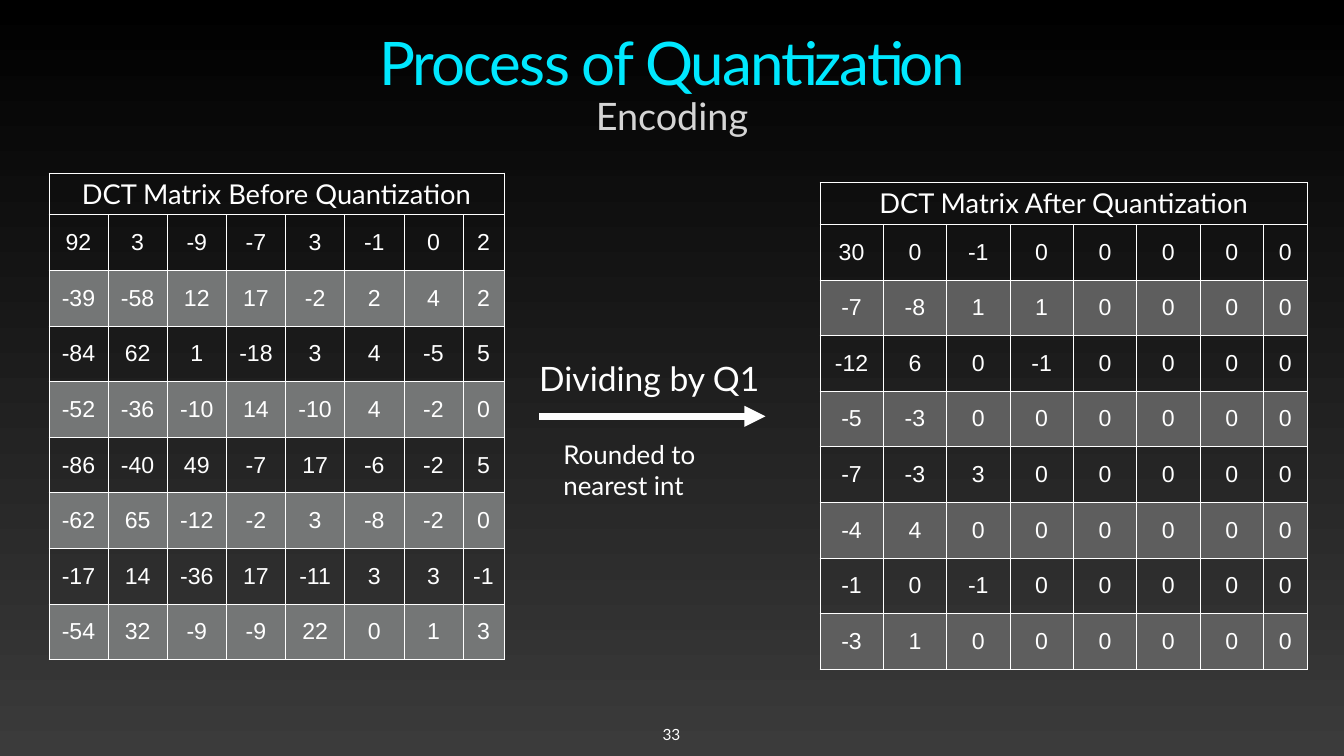
from lxml.etree import SubElement
from pptx import Presentation
from pptx.dml.color import RGBColor
from pptx.enum.shapes import MSO_CONNECTOR
from pptx.enum.text import MSO_ANCHOR, MSO_AUTO_SIZE, PP_ALIGN
from pptx.oxml.ns import qn
from pptx.util import Inches, Pt

COLORS = {
    "top": "000000",
    "bottom": "3B3B3B",
    "title": "00E8FF",
    "subtitle": "D5D5D5",
    "white": "FFFFFF",
    "band_before": "747676",
    "band_after": "5E5E5E",
}
PAD = Inches(0.06)

BEFORE = [
    [92, 3, -9, -7, 3, -1, 0, 2],
    [-39, -58, 12, 17, -2, 2, 4, 2],
    [-84, 62, 1, -18, 3, 4, -5, 5],
    [-52, -36, -10, 14, -10, 4, -2, 0],
    [-86, -40, 49, -7, 17, -6, -2, 5],
    [-62, 65, -12, -2, 3, -8, -2, 0],
    [-17, 14, -36, 17, -11, 3, 3, -1],
    [-54, 32, -9, -9, 22, 0, 1, 3],
]
AFTER = [
    [30, 0, -1, 0, 0, 0, 0, 0],
    [-7, -8, 1, 1, 0, 0, 0, 0],
    [-12, 6, 0, -1, 0, 0, 0, 0],
    [-5, -3, 0, 0, 0, 0, 0, 0],
    [-7, -3, 3, 0, 0, 0, 0, 0],
    [-4, 4, 0, 0, 0, 0, 0, 0],
    [-1, 0, -1, 0, 0, 0, 0, 0],
    [-3, 1, 0, 0, 0, 0, 0, 0],
]


def rgb(name):
    return RGBColor.from_string(COLORS[name])


def set_margins(item, margin):
    item.margin_left = item.margin_right = margin
    item.margin_top = item.margin_bottom = margin


def write(tf, text, size, color="white", align=PP_ALIGN.LEFT, font="Lato"):
    p = tf.paragraphs[0]
    p.alignment = align
    r = p.add_run()
    r.text = text
    r.font.name = font
    r.font.size = Pt(size)
    r.font.color.rgb = rgb(color)
    return r


def add_label(s, box, text, size, color="white", align=PP_ALIGN.LEFT,
              anchor=MSO_ANCHOR.MIDDLE, wrap=True):
    tf = s.shapes.add_textbox(*map(Inches, box)).text_frame
    tf.word_wrap = wrap
    tf.vertical_anchor = anchor
    set_margins(tf, PAD)
    write(tf, text, size, color, align)


def add_heading(s, left, top, width):
    title = s.shapes.title
    title.left, title.top = Inches(left), Inches(top)
    title.width, title.height = Inches(width), Inches(1.7)
    tf = title.text_frame
    tf.word_wrap = True
    tf.auto_size = MSO_AUTO_SIZE.NONE
    tf.vertical_anchor = MSO_ANCHOR.BOTTOM
    set_margins(tf, PAD)
    r = write(tf, "Process of Quantization", 85.8, "title", PP_ALIGN.CENTER)
    r.font._element.set("spc", "-260")
    tf.paragraphs[0].line_spacing = 0.9
    add_label(s, (left, top + 1.47, width, 1.11), "Encoding", 54, "subtitle",
              PP_ALIGN.CENTER, MSO_ANCHOR.TOP)


def add_borders(cell):
    tc_pr = cell._tc.get_or_add_tcPr()
    for side in ("a:lnL", "a:lnR", "a:lnT", "a:lnB"):
        ln = SubElement(tc_pr, qn(side), w=str(Pt(1)))
        fill = SubElement(ln, qn("a:solidFill"))
        SubElement(fill, qn("a:srgbClr"), val=COLORS["white"])


def add_matrix(s, box, heading, values, band, last_width):
    """Draw a headed matrix with a narrower last column and shaded even rows."""
    left, top, width, height = box
    rows, cols = len(values) + 1, len(values[0])
    header_height = 0.83
    table = s.shapes.add_table(rows, cols, *map(Inches, box)).table
    table.first_row = table.horz_banding = False
    for col in table.columns:
        col.width = Inches((width - last_width) / (cols - 1))
    table.columns[cols - 1].width = Inches(last_width)
    for row in table.rows:
        row.height = Inches((height - header_height) / (rows - 1))
    table.rows[0].height = Inches(header_height)

    for i in range(rows):
        for j in range(cols):
            cell = table.cell(i, j)
            cell.vertical_anchor = MSO_ANCHOR.MIDDLE
            set_margins(cell, 0 if i else PAD)
            add_borders(cell)
            if i and i % 2 == 0:
                cell.fill.solid()
                cell.fill.fore_color.rgb = rgb(band)
            else:
                cell.fill.background()
            if i:
                write(cell.text_frame, str(values[i - 1][j]), 33,
                      align=PP_ALIGN.CENTER, font="Arial")
    header = table.cell(0, 0)
    header.merge(table.cell(0, cols - 1))
    write(header.text_frame, heading, 39, align=PP_ALIGN.CENTER)


def add_step(s, left, top):
    """Draw the labelled arrow between the two matrices."""
    add_label(s, (left, top, 4.61, 0.99), "Dividing by Q1", 48, wrap=False)
    y = Inches(top + 1.26)
    arrow = s.shapes.add_connector(MSO_CONNECTOR.STRAIGHT, Inches(left + 0.06), y,
                                   Inches(left + 4.55), y)
    arrow.line.color.rgb = rgb("white")
    arrow.line.width = Pt(10)
    SubElement(arrow.line._get_or_add_ln(), qn("a:tailEnd"), type="triangle")
    SubElement(arrow._element.spPr, qn("a:effectLst"))
    add_label(s, (left + 0.48, top + 1.59, 3.65, 1.47), "Rounded to nearest int", 37)


def main():
    prs = Presentation()
    prs.slide_width, prs.slide_height = Inches(26.67), Inches(15)
    s = prs.slides.add_slide(prs.slide_layouts[5])

    fill = s.background.fill
    fill.gradient()
    fill.gradient_angle = 270
    for stop, position, color in zip(fill.gradient_stops, (0, 1), ("top", "bottom")):
        stop.position = position
        stop.color.rgb = rgb(color)

    add_heading(s, 1.39, 0.31, 23.89)
    add_matrix(s, (0.97, 3.43, 9.03, 9.66), "DCT Matrix Before Quantization",
               BEFORE, "band_before", 0.81)
    add_step(s, 10.64, 7)
    add_matrix(s, (16.27, 3.62, 9.67, 9.66), "DCT Matrix After Quantization",
               AFTER, "band_after", 0.87)
    add_label(s, (13.08, 14.31, 0.49, 0.51), "33", 22, align=PP_ALIGN.CENTER,
              anchor=MSO_ANCHOR.BOTTOM, wrap=False)
    prs.save("out.pptx")


if __name__ == "__main__":
    main()
